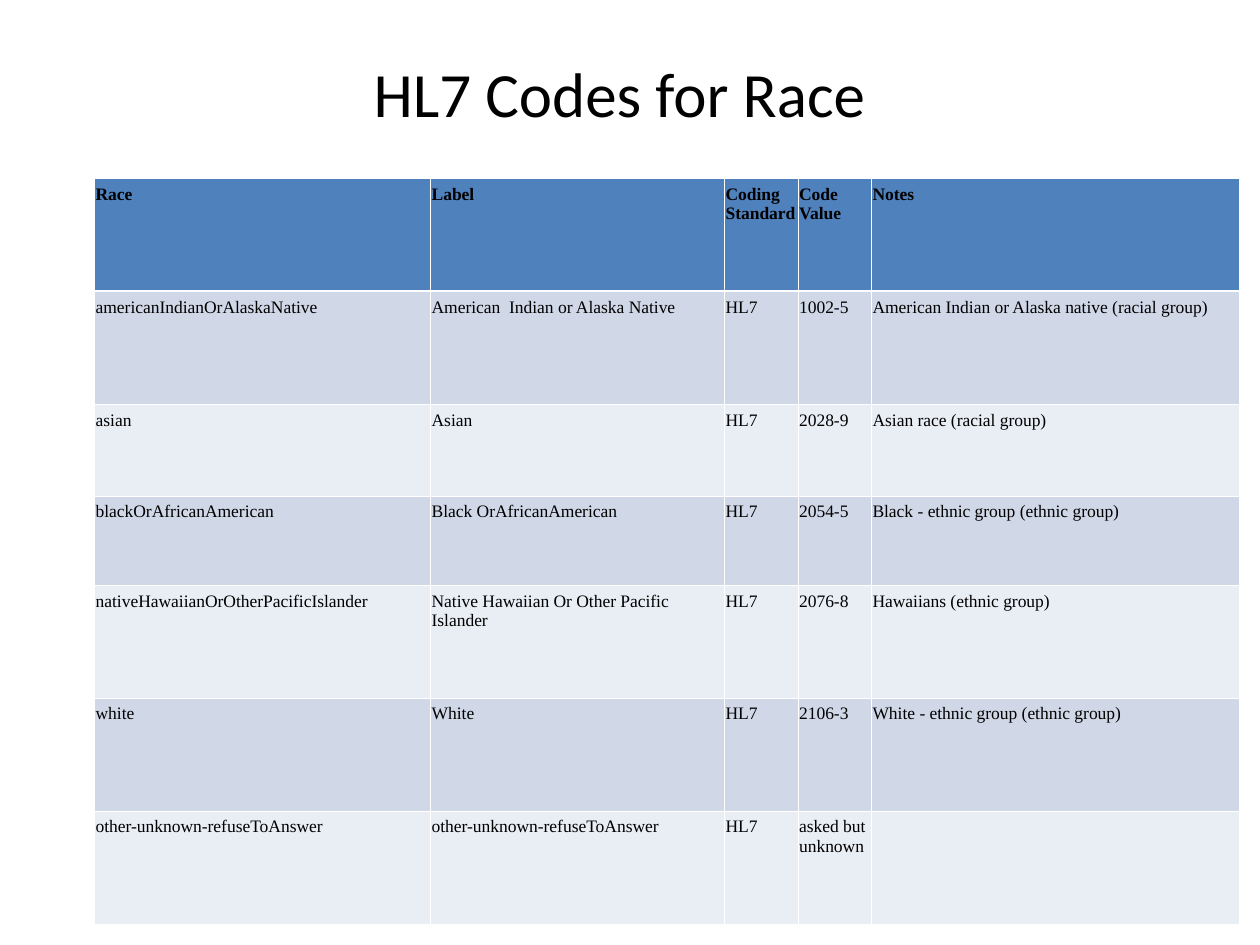
from dataclasses import dataclass

from lxml.etree import SubElement
from pptx import Presentation
from pptx.dml.color import RGBColor
from pptx.enum.text import MSO_ANCHOR, PP_ALIGN
from pptx.oxml.ns import qn
from pptx.util import Pt


@dataclass(frozen=True)
class Theme:
    text: str = "000000"
    header: str = "4F81BD"
    bands: tuple = ("D0D8E8", "E9EDF4")
    border: str = "FFFFFF"
    thin: float = 0.45
    thick: float = 1.47
    title_font: str = "Calibri"
    title_size: float = 36
    table_font: str = "Times New Roman"
    table_size: float = 10


THEME = Theme()

COLUMN_WIDTHS = (192, 168, 42, 42, 210)
ROW_HEIGHTS = (64.5, 64.5, 52.5, 51, 64.5, 64.5, 64.5)
HEADINGS = ("Race", "Label", "Coding Standard", "Code Value", "Notes")
STANDARD = "HL7"
RACES = (
    ("americanIndianOrAlaskaNative", "American  Indian or Alaska Native",
     "1002-5", "American Indian or Alaska native (racial group)"),
    ("asian", "Asian", "2028-9", "Asian race (racial group)"),
    ("blackOrAfricanAmerican", "Black OrAfricanAmerican",
     "2054-5", "Black - ethnic group (ethnic group)"),
    ("nativeHawaiianOrOtherPacificIslander",
     "Native Hawaiian Or Other Pacific Islander",
     "2076-8", "Hawaiians (ethnic group)"),
    ("white", "White", "2106-3", "White - ethnic group (ethnic group)"),
    ("other-unknown-refuseToAnswer", "other-unknown-refuseToAnswer",
     "asked but unknown", ""),
)


def add_run(p, text, font, size, bold=False):
    r = p.add_run()
    r.text = text
    r.font.name = font
    r.font.size = Pt(size)
    r.font.bold = bold
    r.font.color.rgb = RGBColor.from_string(THEME.text)


def set_title(slide, text):
    sp = slide.shapes.title
    sp.left, sp.top, sp.width, sp.height = Pt(12), Pt(21.5), Pt(684), Pt(62.5)
    tf = sp.text_frame
    tf.vertical_anchor = MSO_ANCHOR.MIDDLE
    p = tf.paragraphs[0]
    p.alignment = PP_ALIGN.CENTER
    add_run(p, text, THEME.title_font, THEME.title_size)


def set_borders(cell, top, bottom):
    """Draw all four sides; top and bottom are line widths in points."""
    tc_pr = cell._tc.get_or_add_tcPr()
    sides = {"lnL": THEME.thin, "lnR": THEME.thin, "lnT": top, "lnB": bottom}
    for side, width in sides.items():
        ln = SubElement(tc_pr, qn(f"a:{side}"), w=str(Pt(width)))
        fill = SubElement(ln, qn("a:solidFill"))
        SubElement(fill, qn("a:srgbClr"), val=THEME.border)


def format_cell(cell, text, row):
    is_header = row == 0
    set_borders(cell,
                top=THEME.thick if row == 1 else THEME.thin,
                bottom=THEME.thick if is_header else THEME.thin)
    cell.fill.solid()
    color = THEME.header if is_header else THEME.bands[(row - 1) % 2]
    cell.fill.fore_color.rgb = RGBColor.from_string(color)
    cell.margin_left = cell.margin_right = Pt(0.7)
    cell.margin_top = cell.margin_bottom = Pt(3.6)
    cell.vertical_anchor = MSO_ANCHOR.TOP
    if text:
        add_run(cell.text_frame.paragraphs[0], text,
                THEME.table_font, THEME.table_size, is_header)


def add_code_table(slide, rows):
    table = slide.shapes.add_table(
        len(rows), len(COLUMN_WIDTHS), Pt(54), Pt(102),
        Pt(sum(COLUMN_WIDTHS)), Pt(sum(ROW_HEIGHTS))).table
    for column, width in zip(table.columns, COLUMN_WIDTHS):
        column.width = Pt(width)
    for row, height in zip(table.rows, ROW_HEIGHTS):
        row.height = Pt(height)
    for i, texts in enumerate(rows):
        for j, text in enumerate(texts):
            format_cell(table.cell(i, j), text, i)


def main():
    prs = Presentation()
    prs.slide_width, prs.slide_height = Pt(720), Pt(540)
    slide = prs.slides.add_slide(prs.slide_layouts[5])
    set_title(slide, "HL7 Codes for Race")
    race_rows = [(race, label, STANDARD, code, notes)
                 for race, label, code, notes in RACES]
    add_code_table(slide, [HEADINGS, *race_rows])
    prs.save("out.pptx")


if __name__ == "__main__":
    main()
